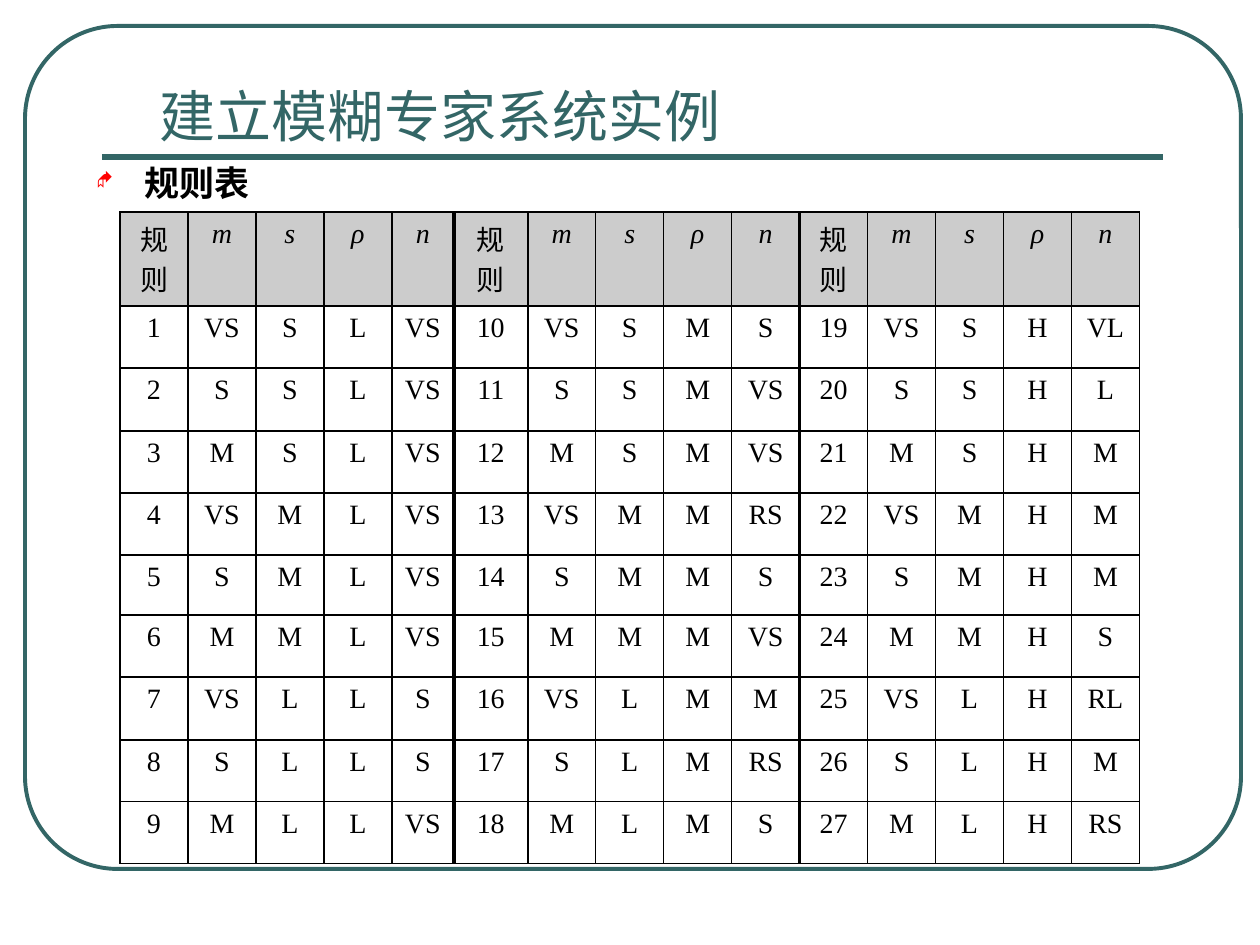
from dataclasses import dataclass

from lxml import etree
from pptx import Presentation
from pptx.dml.color import RGBColor
from pptx.enum.shapes import MSO_CONNECTOR, MSO_SHAPE
from pptx.enum.text import MSO_ANCHOR, PP_ALIGN
from pptx.oxml.ns import qn
from pptx.util import Emu, Pt

EMU_PER_PX = 914400 / 126
ROUNDED = MSO_SHAPE.ROUNDED_RECTANGLE
STRAIGHT = MSO_CONNECTOR.STRAIGHT
CENTER = PP_ALIGN.CENTER
TOP, BOTTOM = MSO_ANCHOR.TOP, MSO_ANCHOR.BOTTOM

TEAL, BLACK, RED, GRAY = "336666", "000000", "FF0000", "CCCCCC"
CJK_FONT = "Noto Sans CJK SC"

HEADINGS = ["规则", "m", "s", "ρ", "n"]
DELAYS = ["VS", "S", "M"]
SERVERS = ["S", "M", "L"]
UTILISATIONS = ["L", "M", "H"]
SPARES = [
    "VS VS VS VS VS VS S S VS".split(),
    "S VS VS RS S VS M RS S".split(),
    "VL L M M M S RL M RS".split(),
]
RULES_PER_BLOCK = 9
COLUMN_WIDTHS = [68] * 4 + [62, 74] + [68] * 9
ROW_HEIGHTS = [94, 62, 63, 62, 62, 60, 62, 63, 62, 62]
THIN, THICK = 1, 2.25


@dataclass(frozen=True)
class Area:
    left: int
    top: int
    width: int
    height: int

    def emu(self) -> tuple:
        return tuple(px(n) for n in (self.left, self.top, self.width, self.height))


@dataclass(frozen=True)
class TextStyle:
    size: int
    font: str
    color: str = BLACK
    bold: bool = False
    italic: bool = False


def px(length: int) -> Emu:
    return Emu(round(length * EMU_PER_PX))


def rgb(value: str) -> RGBColor:
    return RGBColor.from_string(value)


def write(para, text: str, style: TextStyle) -> None:
    para.text = text
    for span in para.runs:
        font = span.font
        font.size, font.name = Pt(style.size), style.font
        font.bold, font.italic = style.bold, style.italic
        font.color.rgb = rgb(style.color)
        etree.SubElement(span._r.get_or_add_rPr(), qn("a:ea"), typeface=CJK_FONT)


def add_text(slide, area: Area, text: str, style: TextStyle, anchor=TOP):
    box = slide.shapes.add_textbox(*area.emu())
    frame = box.text_frame
    frame.word_wrap = True
    frame.vertical_anchor = anchor
    write(frame.paragraphs[0], text, style)
    return frame


def add_bullet(para, indent: int) -> None:
    props = para._p.get_or_add_pPr()
    props.set("marL", str(px(indent)))
    props.set("indent", str(-px(indent)))
    color = etree.SubElement(props, qn("a:buClr"))
    etree.SubElement(color, qn("a:srgbClr"), val=RED)
    etree.SubElement(props, qn("a:buSzPct"), val="55000")
    etree.SubElement(props, qn("a:buFont"), typeface="Wingdings")
    etree.SubElement(props, qn("a:buChar"), char="◆")


def add_frame(slide) -> None:
    outline = slide.shapes.add_shape(ROUNDED, *Area(25, 26, 1216, 843).emu())
    outline.adjustments[0] = 0.11
    outline.shadow.inherit = False
    outline.fill.background()
    outline.line.color.rgb = rgb(TEAL)
    outline.line.width = Pt(2.25)

    rule = slide.shapes.add_connector(STRAIGHT, px(102), px(157), px(1163), px(157))
    rule.line.color.rgb = rgb(TEAL)
    rule.line.width = Pt(3)
    etree.SubElement(rule._element.spPr, qn("a:effectLst"))


def set_borders(cell, left: float, right: float) -> None:
    props = cell._tc.get_or_add_tcPr()
    sides = {"lnL": left, "lnR": right, "lnT": THIN, "lnB": THIN}
    for position, (tag, width) in enumerate(sides.items()):
        line = etree.Element(qn(f"a:{tag}"), w=str(Pt(width)))
        fill = etree.SubElement(line, qn("a:solidFill"))
        etree.SubElement(fill, qn("a:srgbClr"), val=BLACK)
        props.insert(position, line)


def rule_rows() -> list[list[str]]:
    """Lay the 27 rules out in three blocks side by side, below the headings."""
    rows = [HEADINGS * len(SPARES)]
    for index in range(RULES_PER_BLOCK):
        row = []
        for block, spares in enumerate(SPARES):
            number = block * RULES_PER_BLOCK + index + 1
            row += [str(number), DELAYS[index % 3], SERVERS[index // 3],
                    UTILISATIONS[block], spares[index]]
        rows.append(row)
    return rows


def add_rule_table(slide) -> None:
    rows = rule_rows()
    area = Area(120, 212, sum(COLUMN_WIDTHS), sum(ROW_HEIGHTS))
    table = slide.shapes.add_table(len(rows), len(rows[0]), *area.emu()).table
    table.first_row = table.horz_banding = False
    for column, width in zip(table.columns, COLUMN_WIDTHS):
        column.width = px(width)
    for row, height in zip(table.rows, ROW_HEIGHTS):
        row.height = px(height)

    block_width = len(HEADINGS)
    last_column = len(rows[0]) - 1
    for row_index, texts in enumerate(rows):
        is_header = row_index == 0
        for column_index, text in enumerate(texts):
            cell = table.cell(row_index, column_index)
            place = column_index % block_width
            if is_header:
                cell.fill.solid()
                cell.fill.fore_color.rgb = rgb(GRAY)
            else:
                cell.fill.background()
            starts_block = place == 0 and column_index > 0
            ends_block = place == block_width - 1 and column_index < last_column
            set_borders(cell, THICK if starts_block else THIN,
                        THICK if ends_block else THIN)
            para = cell.text_frame.paragraphs[0]
            para.alignment = CENTER
            write(para, text, TextStyle(16, "Times New Roman",
                                        italic=is_header and place > 0))


def main() -> None:
    deck = Presentation()
    deck.slide_width, deck.slide_height = px(1260), px(945)
    slide = deck.slides.add_slide(deck.slide_layouts[6])
    add_frame(slide)
    title = add_text(slide, Area(134, 55, 1061, 100), "建立模糊专家系统实例",
                     TextStyle(32, "Arial", TEAL), BOTTOM)
    title.margin_left = px(26)
    body = add_text(slide, Area(84, 155, 1110, 694), "规则表",
                    TextStyle(20, CJK_FONT, bold=True))
    add_bullet(body.paragraphs[0], 48)
    add_rule_table(slide)
    deck.save("out.pptx")


if __name__ == "__main__":
    main()
